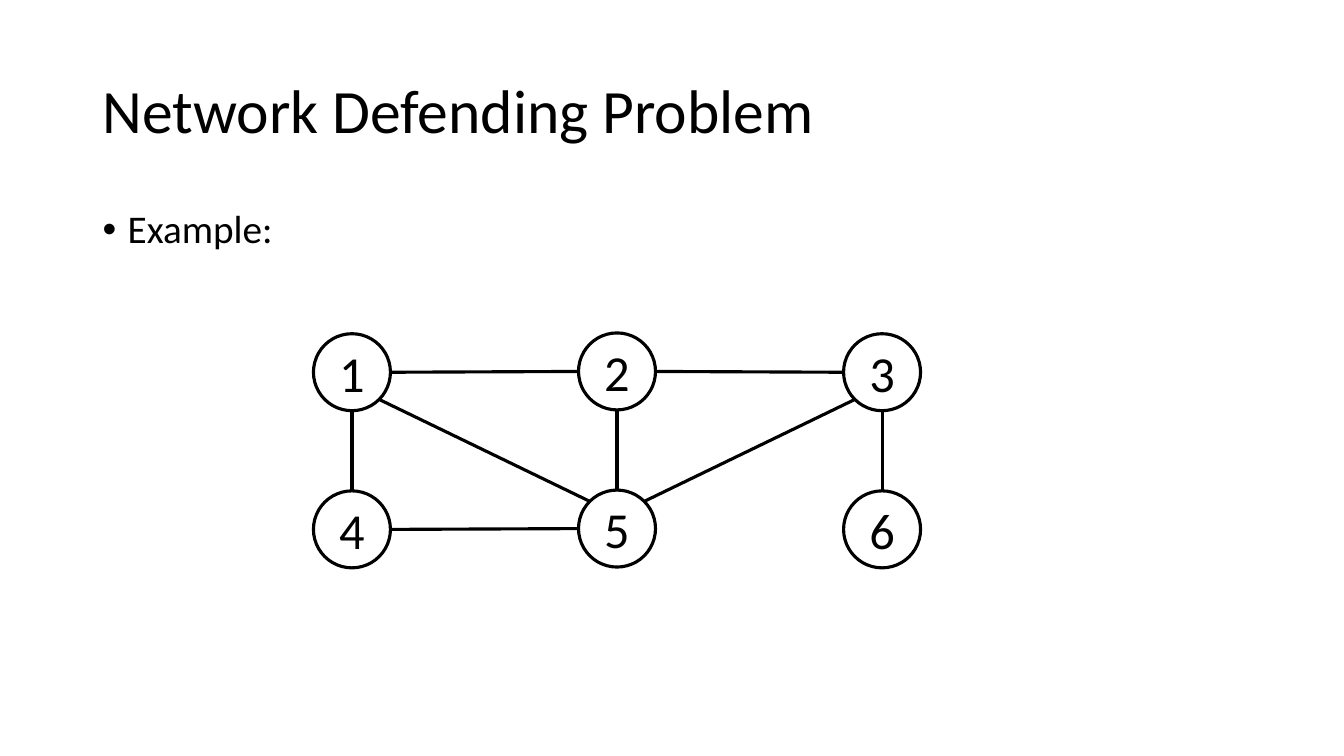
import math
import pptx
import pptx.util
import pptx.dml.color
import pptx.enum.shapes
import pptx.enum.text
import pptx.oxml.ns
import lxml.etree

Cm, Pt = pptx.util.Cm, pptx.util.Pt
ALIGN = pptx.enum.text.PP_ALIGN
MIDDLE = pptx.enum.text.MSO_ANCHOR.MIDDLE

# Content: nodes as label -> (column, row), edges as label pairs
TITLE = "Network Defending Problem"
BODY = "Example:"
NODES = {"1": (0, 0), "2": (1, 0), "3": (2, 0),
         "4": (0, 1), "5": (1, 1), "6": (2, 1)}
EDGES = ["12", "23", "45", "53", "14", "36", "52", "15"]

# Layout in centimetres
LEFT, TOP, SIZE = 7.9, 8.41, 1.94
STEP_X, STEP_Y = 6.68, 3.96
RAISE = 0.02  # the middle column sits slightly higher

# Formats
BLACK, WHITE = "000000", "FFFFFF"
HEAD = {"alignment": ALIGN.LEFT, "line_spacing": 0.9}
ITEM = {"alignment": ALIGN.LEFT, "line_spacing": 0.9, "space_before": Pt(10)}
LABEL = {"alignment": ALIGN.CENTER}


def color(hue):
    return pptx.dml.color.RGBColor.from_string(hue)


def put(obj, style):
    for key, value in style.items():
        setattr(obj, key, value)


def write(shape, text, size, style):
    shape.text_frame.text = text
    para = shape.text_frame.paragraphs[0]
    put(para, style)
    put(para.runs[0].font, {"name": "Calibri", "size": Pt(size)})
    para.runs[0].font.color.rgb = color(BLACK)
    return para


def place(shape, *box):
    put(shape, dict(zip(("left", "top", "width", "height"), map(Cm, box))))


def ink(line):
    line.color.rgb = color(BLACK)
    line.width = Pt(2.25)


def center(label):
    col, row = NODES[label]
    x = LEFT + col * STEP_X + SIZE / 2
    y = TOP + row * STEP_Y + SIZE / 2 - RAISE * (col == 1)
    return x, y


def rim(label, other):
    """Point on the node's circle, in one of eight directions."""
    (col, row), (far, low) = NODES[label], NODES[other]
    dx = (far > col) - (far < col)
    dy = (low > row) - (low < row)
    reach = SIZE / 2 / math.hypot(dx, dy)
    x, y = center(label)
    return Cm(x + dx * reach), Cm(y + dy * reach)


def main():
    deck = pptx.Presentation()
    deck.slide_width, deck.slide_height = Cm(33.87), Cm(19.05)
    slide = deck.slides.add_slide(deck.slide_layouts[1])
    shapes = slide.shapes

    # Title and list
    title, body = shapes.title, slide.placeholders[1]
    place(title, 2.33, 1.01, 29.21, 3.68)
    title.text_frame.vertical_anchor = MIDDLE
    write(title, TITLE, 44, HEAD)
    place(body, 2.33, 5.16, 29.21, 12.09)
    props = write(body, BODY, 28, ITEM)._p.get_or_add_pPr()
    props.set("marL", str(Cm(0.635)))
    props.set("indent", str(Cm(-0.635)))

    # Nodes
    for label in NODES:
        x, y = center(label)
        node = shapes.add_shape(pptx.enum.shapes.MSO_SHAPE.OVAL, 0, 0, 0, 0)
        place(node, x - SIZE / 2, y - SIZE / 2, SIZE, SIZE)
        node.shadow.inherit = False
        node.fill.solid()
        node.fill.fore_color.rgb = color(WHITE)
        ink(node.line)
        node.text_frame.vertical_anchor = MIDDLE
        write(node, label, 36, LABEL)

    # Edges
    for start, end in EDGES:
        edge = shapes.add_connector(pptx.enum.shapes.MSO_CONNECTOR.STRAIGHT,
                                    *rim(start, end), *rim(end, start))
        ink(edge.line)
        lxml.etree.SubElement(edge._element.spPr,
                              pptx.oxml.ns.qn("a:effectLst"))

    deck.save("out.pptx")


if __name__ == "__main__":
    main()
